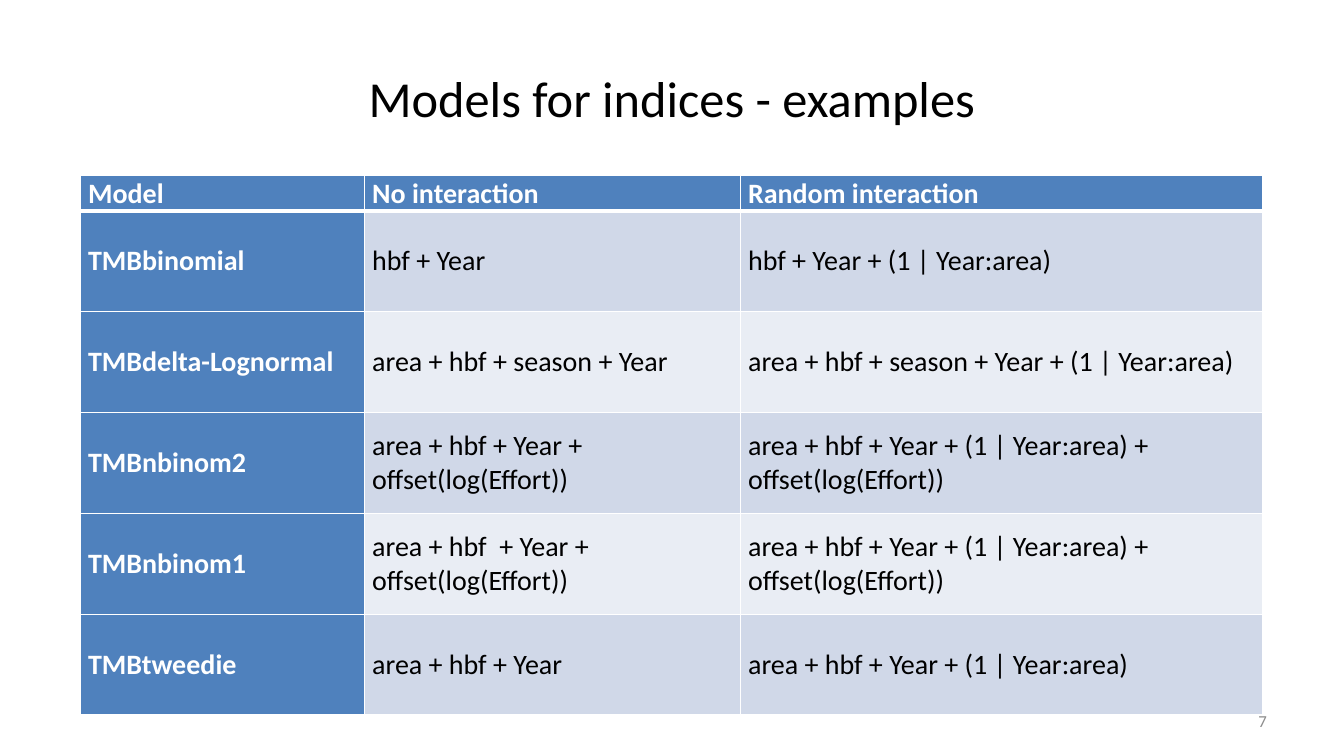
from lxml import etree
from pptx import Presentation
from pptx.dml.color import RGBColor
from pptx.enum.text import MSO_ANCHOR, PP_ALIGN
from pptx.oxml.ns import qn
from pptx.util import Pt

MIDDLE, BOTTOM = MSO_ANCHOR.MIDDLE, MSO_ANCHOR.BOTTOM
LEFT, CENTER, RIGHT = PP_ALIGN.LEFT, PP_ALIGN.CENTER, PP_ALIGN.RIGHT

HUES = {
    "head": "4F81BD",
    "dark": "D0D8E8",
    "light": "E9EDF4",
    "white": "FFFFFF",
    "black": "000000",
    "gray": "8C8C8C",
}

MODELS = [
    ("Model", "No interaction", "Random interaction"),
    ("TMBbinomial", "hbf + Year", "hbf + Year + (1 | Year:area)"),
    ("TMBdelta-Lognormal", "area + hbf + season + Year",
     "area + hbf + season + Year + (1 | Year:area)"),
    ("TMBnbinom2", "area + hbf + Year + offset(log(Effort))",
     "area + hbf + Year + (1 | Year:area) + offset(log(Effort))"),
    ("TMBnbinom1", "area + hbf  + Year + offset(log(Effort))",
     "area + hbf + Year + (1 | Year:area) + offset(log(Effort))"),
    ("TMBtweedie", "area + hbf + Year", "area + hbf + Year + (1 | Year:area)"),
]


class Deck:
    font = "Calibri"

    def __init__(self, wide, high):
        self.file = Presentation()
        self.file.slide_width, self.file.slide_height = Pt(wide), Pt(high)
        self.slide = self.file.slides.add_slide(self.file.slide_layouts[5])

    def fill_text(self, frame, text, size, hue, align=LEFT, bold=False):
        frame.word_wrap = True
        para = frame.paragraphs[0]
        para.text, para.alignment = text, align
        font = para.font
        font.name, font.size, font.bold = self.font, Pt(size), bold
        font.color.rgb = RGBColor.from_string(HUES[hue])

    def place(self, shape, box):
        shape.left, shape.top, shape.width, shape.height = map(Pt, box)

    def title(self, text, box):
        shape = self.slide.shapes.title
        self.place(shape, box)
        shape.text_frame.vertical_anchor = MIDDLE
        self.fill_text(shape.text_frame, text, 36, "black", CENTER)

    def label(self, text, box, size, hue, align):
        frame = self.slide.shapes.add_textbox(*map(Pt, box)).text_frame
        frame.vertical_anchor = MIDDLE
        self.fill_text(frame, text, size, hue, align)

    def edge(self, cell, side, width):
        props = cell._tc.get_or_add_tcPr()
        line = etree.SubElement(props, qn(f"a:ln{side}"), w=str(Pt(width)))
        fill = etree.SubElement(line, qn("a:solidFill"))
        etree.SubElement(fill, qn("a:srgbClr"), val=HUES["white"])

    def cell(self, cell, text, row, col):
        # Borders go before the fill; the header has a thick lower rule
        thick = {(0, "B"), (1, "T")}
        for side in "LRTB":
            self.edge(cell, side, 3 if (row, side) in thick else 1)
        key = row == 0 or col == 0
        band = "head" if key else "dark" if row % 2 else "light"
        cell.fill.solid()
        cell.fill.fore_color.rgb = RGBColor.from_string(HUES[band])
        cell.margin_left = cell.margin_right = Pt(5.3)
        cell.margin_top = cell.margin_bottom = 0
        cell.vertical_anchor = MIDDLE if row else BOTTOM
        self.fill_text(cell.text_frame, text, 20, "white" if key else "black", bold=key)

    def table(self, data, left, top, cols, rows):
        table = self.slide.shapes.add_table(
            len(rows), len(cols), Pt(left), Pt(top), Pt(sum(cols)), Pt(sum(rows))).table
        for col, width in zip(table.columns, cols):
            col.width = Pt(width)
        for row, height in zip(table.rows, rows):
            row.height = Pt(height)
        for r, line in enumerate(data):
            for c, text in enumerate(line):
                self.cell(table.cell(r, c), text, r, c)


def main():
    deck = Deck(960, 540)
    # Title
    deck.title("Models for indices - examples", (48, 50.5, 864, 38))
    # Model formulas
    deck.table(MODELS, 57.6, 125.5, [203, 268.5, 373], [25.2] + [72] * 5)
    # Slide number
    deck.label("7", (688, 500.5, 224, 28.8), 12, "gray", RIGHT)
    deck.file.save("out.pptx")


if __name__ == "__main__":
    main()
